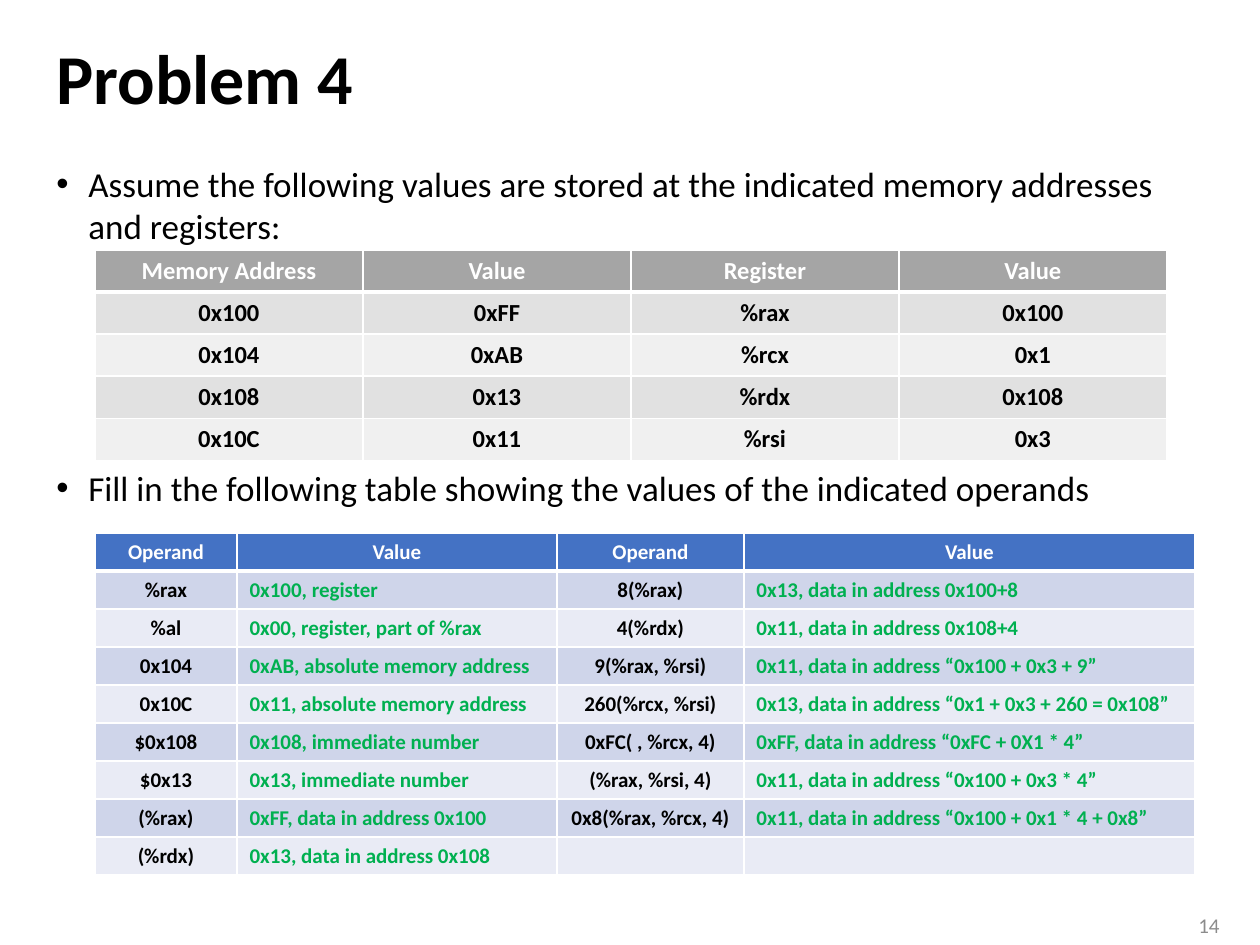
from lxml.etree import SubElement
from pptx import Presentation
from pptx.dml.color import RGBColor
from pptx.enum.text import MSO_ANCHOR as Anchor, PP_ALIGN as Align
from pptx.oxml.ns import qn
from pptx.util import Emu, Pt

FONT = "Calibri"
BLACK = RGBColor(0x00, 0x00, 0x00)
WHITE = RGBColor(0xFF, 0xFF, 0xFF)
GREEN = RGBColor(0x00, 0xB0, 0x50)
NUMBER_GRAY = RGBColor(0x8C, 0x8C, 0x8C)
GRAYS = [RGBColor(0xA5, 0xA5, 0xA5), RGBColor(0xE1, 0xE1, 0xE1), RGBColor(0xF0, 0xF0, 0xF0)]
BLUES = [RGBColor(0x44, 0x72, 0xC4), RGBColor(0xCF, 0xD5, 0xEA), RGBColor(0xE9, 0xEB, 0xF5)]

STORED = [
    ["Memory Address", "Value", "Register", "Value"],
    ["0x100", "0xFF", "%rax", "0x100"],
    ["0x104", "0xAB", "%rcx", "0x1"],
    ["0x108", "0x13", "%rdx", "0x108"],
    ["0x10C", "0x11", "%rsi", "0x3"],
]
OPERANDS = [
    ["Operand", "Value", "Operand", "Value"],
    ["%rax", "0x100, register", "8(%rax)", "0x13, data in address 0x100+8"],
    ["%al", "0x00, register, part of %rax", "4(%rdx)", "0x11, data in address 0x108+4"],
    ["0x104", "0xAB, absolute memory address", "9(%rax, %rsi)",
     "0x11, data in address “0x100 + 0x3 + 9”"],
    ["0x10C", "0x11, absolute memory address", "260(%rcx, %rsi)",
     "0x13, data in address “0x1 + 0x3 + 260 = 0x108”"],
    ["$0x108", "0x108, immediate number", "0xFC( , %rcx, 4)",
     "0xFF, data in address “0xFC + 0X1 * 4”"],
    ["$0x13", "0x13, immediate number", "(%rax, %rsi, 4)",
     "0x11, data in address “0x100 + 0x3 * 4”"],
    ["(%rax)", "0xFF, data in address 0x100", "0x8(%rax, %rcx, 4)",
     "0x11, data in address “0x100 + 0x1 * 4 + 0x8”"],
    ["(%rdx)", "0x13, data in address 0x108", "", ""],
]


def px(n):
    return Emu(round(n * 914400 / 126))


def write(p, text, size=20, color=BLACK, bold=False, align=Align.LEFT):
    p.alignment = align
    if not text:
        SubElement(p._p, qn("a:endParaRPr"), sz=str(size * 100))
        return
    r = p.add_run()
    r.text = text
    r.font.name = FONT
    r.font.size = Pt(size)
    r.font.bold = bold
    r.font.color.rgb = color


def add_box(s, x, y, w, h, anchor=Anchor.MIDDLE):
    tf = s.shapes.add_textbox(px(x), px(y), px(w), px(h)).text_frame
    tf.word_wrap = True
    tf.vertical_anchor = anchor
    return tf


def add_bullet(p, text):
    pPr = p._p.get_or_add_pPr()
    pPr.set("marL", str(px(32)))
    pPr.set("indent", str(px(-32)))
    SubElement(pPr, qn("a:buFont"), typeface="Arial")
    SubElement(pPr, qn("a:buChar"), char="•")
    write(p, text)


def set_borders(cell, top, bottom):
    tcPr = cell._tc.get_or_add_tcPr()
    for side, width in (("L", 1), ("R", 1), ("T", top), ("B", bottom)):
        ln = SubElement(tcPr, qn(f"a:ln{side}"), w=str(Pt(width)))
        fill = SubElement(ln, qn("a:solidFill"))
        SubElement(fill, qn("a:srgbClr"), val=str(WHITE))


def add_grid(s, x, y, widths, row_h, rows, fills, size, answer_cols=()):
    frame = s.shapes.add_table(len(rows), len(widths), px(x), px(y),
                               px(sum(widths)), px(row_h * len(rows)))
    table = frame.table
    for col, width in zip(table.columns, widths):
        col.width = px(width)
    for i, row in enumerate(rows):
        table.rows[i].height = px(row_h)
        for j, text in enumerate(row):
            cell = table.cell(i, j)
            set_borders(cell, 3 if i == 1 else 1, 3 if i == 0 else 1)
            cell.fill.solid()
            cell.fill.fore_color.rgb = fills[0] if i == 0 else fills[2 - i % 2]
            cell.vertical_anchor = Anchor.MIDDLE
            answer = i > 0 and j in answer_cols
            color = WHITE if i == 0 else GREEN if answer else BLACK
            write(cell.text_frame.paragraphs[0], text, size=size, color=color, bold=True,
                  align=Align.LEFT if answer else Align.CENTER)


def main():
    prs = Presentation()
    prs.slide_width, prs.slide_height = px(1260), px(945)
    s = prs.slides.add_slide(prs.slide_layouts[6])

    p = add_box(s, 44, 24, 1170, 116).paragraphs[0]
    p.line_spacing = 0.9
    write(p, "Problem 4", size=40, bold=True)

    tf = add_box(s, 44, 156, 1170, 735, anchor=Anchor.TOP)
    add_bullet(tf.paragraphs[0], "Assume the following values are stored at the "
               "indicated memory addresses and registers:")
    p = tf.add_paragraph()
    p.space_before = Pt(126)
    add_bullet(p, "Fill in the following table showing the values of the indicated operands")

    write(add_box(s, 1168, 906, 64, 39).paragraphs[0], "14", size=12,
          color=NUMBER_GRAY, align=Align.RIGHT)

    add_grid(s, 95, 250, [268] * 4, 42, STORED, GRAYS, 14)
    add_grid(s, 95, 533, [142, 320, 187, 451], 38, OPERANDS, BLUES, 12, answer_cols=(1, 3))
    prs.save("out.pptx")


if __name__ == "__main__":
    main()
